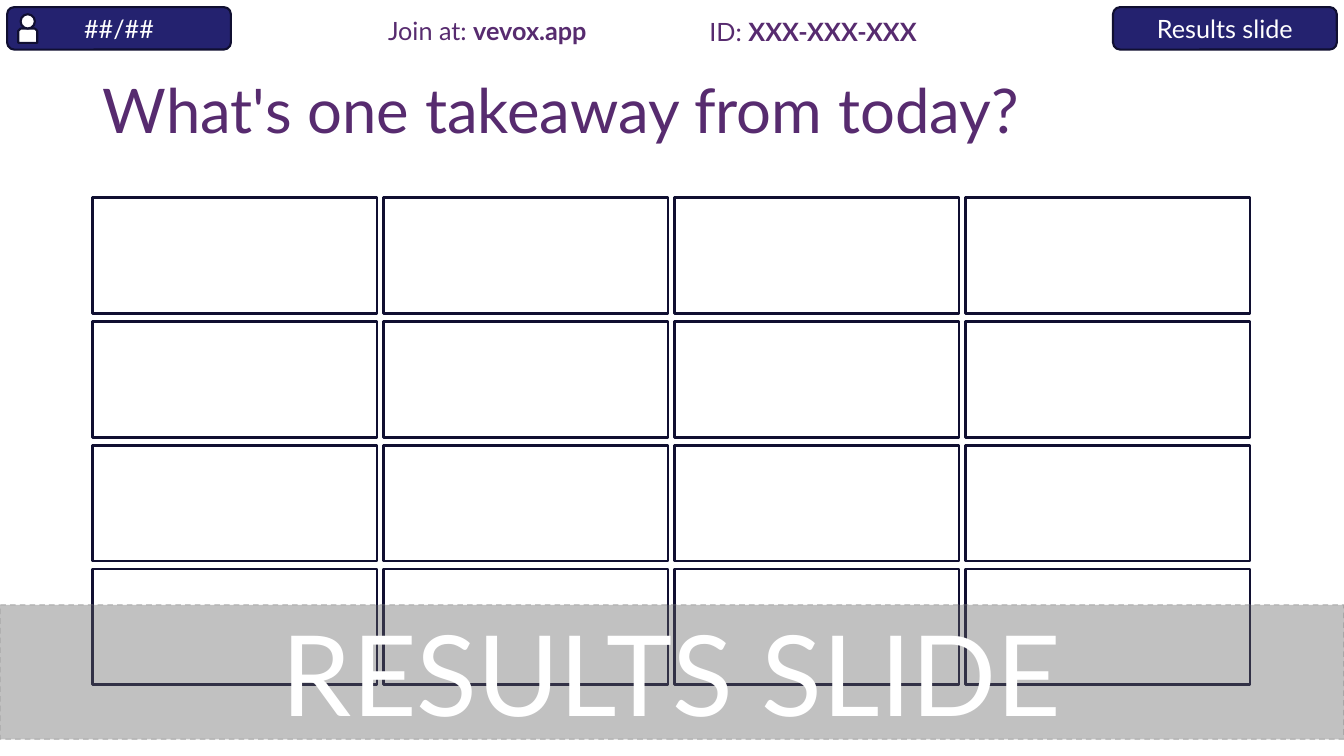
import dataclasses
import itertools

import pptx
import pptx.dml.color
import pptx.enum.dml
import pptx.enum.shapes
import pptx.enum.text
import pptx.oxml
import pptx.oxml.ns
import pptx.util

Cm = pptx.util.Cm
Pt = pptx.util.Pt
SHAPE = pptx.enum.shapes.MSO_SHAPE
ALIGN = pptx.enum.text.PP_ALIGN
MIDDLE = pptx.enum.text.MSO_ANCHOR.MIDDLE


@dataclasses.dataclass(frozen=True)
class Theme:
    font: str = "Lato"
    purple: str = "572B6F"
    navy: str = "24226F"
    outline: str = "100F31"
    white: str = "FFFFFF"
    banner: str = "666666"
    banner_line: str = "808080"
    title_size: float = 44
    label_size: float = 18
    banner_size: float = 80
    line_width: float = 1.5
    card_line_width: float = 2
    banner_line_width: float = 1


THEME = Theme()


def set_color(color_format, color, opacity=100):
    color_format.rgb = pptx.dml.color.RGBColor.from_string(color)
    if opacity < 100:
        for element in color_format._xFill.iter(pptx.oxml.ns.qn("a:srgbClr")):
            alpha = element.makeelement(pptx.oxml.ns.qn("a:alpha"), {"val": str(opacity * 1000)})
            element.append(alpha)


def add_shape(slide, kind, box, fill, line=THEME.outline, width=THEME.line_width,
              opacity=100, line_opacity=100):
    shape = slide.shapes.add_shape(kind, *map(Cm, box))
    shape.shadow.inherit = False
    shape.fill.solid()
    set_color(shape.fill.fore_color, fill)
    shape.line.width = Pt(width)
    set_color(shape.line.color, line)
    set_opacity(shape.fill._xPr.find(pptx.oxml.ns.qn("a:solidFill")), opacity)
    set_opacity(shape.line._ln.find(pptx.oxml.ns.qn("a:solidFill")), line_opacity)
    return shape


def set_opacity(solid_fill, opacity):
    if opacity < 100:
        alpha = pptx.oxml.parse_xml(
            f'<a:alpha {pptx.oxml.ns.nsdecls("a")} val="{opacity * 1000}"/>')
        solid_fill[0].append(alpha)


def write(shape, runs, size, color, alignment=ALIGN.CENTER):
    shape.text_frame.word_wrap = True
    paragraph = shape.text_frame.paragraphs[0]
    paragraph.alignment = alignment
    for text, bold in runs:
        run = paragraph.add_run()
        run.text = text
        run.font.name = THEME.font
        run.font.size = Pt(size)
        run.font.bold = bold
        set_color(run.font.color, color)
    return paragraph


def add_label(slide, box, runs, size=THEME.label_size):
    label = slide.shapes.add_textbox(*map(Cm, box))
    return label, write(label, runs, size, THEME.purple, ALIGN.LEFT)


def add_title(slide, box, text):
    title, paragraph = add_label(slide, box, [(text, False)], THEME.title_size)
    title.text_frame.vertical_anchor = MIDDLE
    paragraph.line_spacing = 0.9


def add_pill(slide, box, text):
    pill = add_shape(slide, SHAPE.ROUNDED_RECTANGLE, box, THEME.navy)
    frame = pill.text_frame
    frame.margin_left = frame.margin_right = frame.margin_top = frame.margin_bottom = 0
    frame.vertical_anchor = MIDDLE
    write(pill, [(text, False)], THEME.label_size, THEME.white)


def add_person(slide, box):
    left, top, width, height = box
    head = height / 2
    add_shape(slide, SHAPE.SNIP_2_SAME_RECTANGLE, (left, top + head, width, head), THEME.white)
    add_shape(slide, SHAPE.OVAL, (left + (width - head) / 2, top, head, head), THEME.white)


def add_header(slide, box):
    left, top, width, height = box
    pill_width = 5.64
    add_pill(slide, (left, top, pill_width, height), "##/##")
    add_pill(slide, (left + width - pill_width, top, pill_width, height), "Results slide")
    add_person(slide, (left + 0.28, top + 0.18, 0.48, 0.72))
    add_label(slide, (left + 9.35, top + 0.07, 6.7, height),
              [("Join at: ", False), ("vevox.app", True)])
    add_label(slide, (left + 17.45, top + 0.1, 6.7, height),
              [("ID: ", False), ("XXX-XXX-XXX", True)])


def add_cards(slide, box, rows=4, columns=4, column_gap=0.17, row_gap=0.2):
    left, top, width, height = box
    card_width = (width - (columns - 1) * column_gap) / columns
    card_height = (height - (rows - 1) * row_gap) / rows
    for row, column in itertools.product(range(rows), range(columns)):
        card_left = left + column * (card_width + column_gap)
        card_top = top + row * (card_height + row_gap)
        add_shape(slide, SHAPE.RECTANGLE, (card_left, card_top, card_width, card_height),
                  THEME.white, width=THEME.card_line_width, opacity=50)


def add_banner(slide, box, text):
    banner = add_shape(slide, SHAPE.RECTANGLE, box, THEME.banner, THEME.banner_line,
                       THEME.banner_line_width, opacity=40, line_opacity=40)
    banner.line.dash_style = pptx.enum.dml.MSO_LINE.DASH
    banner.text_frame.vertical_anchor = MIDDLE
    write(banner, [(text, False)], THEME.banner_size, THEME.white)


def add_results_slide(presentation, box):
    left, top, width, height = box
    slide = presentation.slides.add_slide(presentation.slide_layouts[6])
    add_title(slide, (left + 2.34, top + 1.02, 29.21, 3.68), "What's one takeaway from today?")
    add_header(slide, (left + 0.18, top + 0.18, width - 0.36, 1.07))
    add_cards(slide, (left + 2.34, top + 4.98, 29.16, 12.28))
    add_banner(slide, (left, top + 15.24, width, 3.39), "RESULTS SLIDE")


def main():
    presentation = pptx.Presentation()
    width, height = 33.87, 19.05
    presentation.slide_width = Cm(width)
    presentation.slide_height = Cm(height)
    add_results_slide(presentation, (0, 0, width, height))
    presentation.save("out.pptx")


if __name__ == "__main__":
    main()
